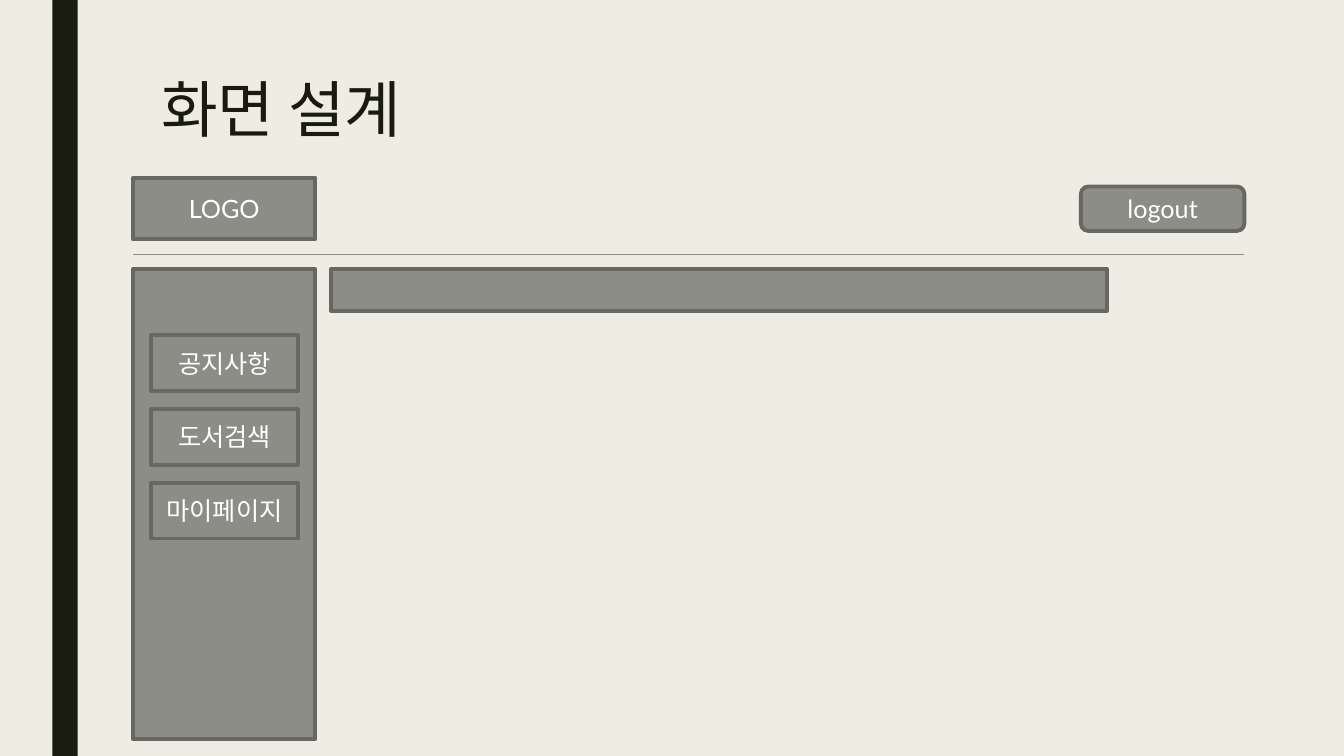
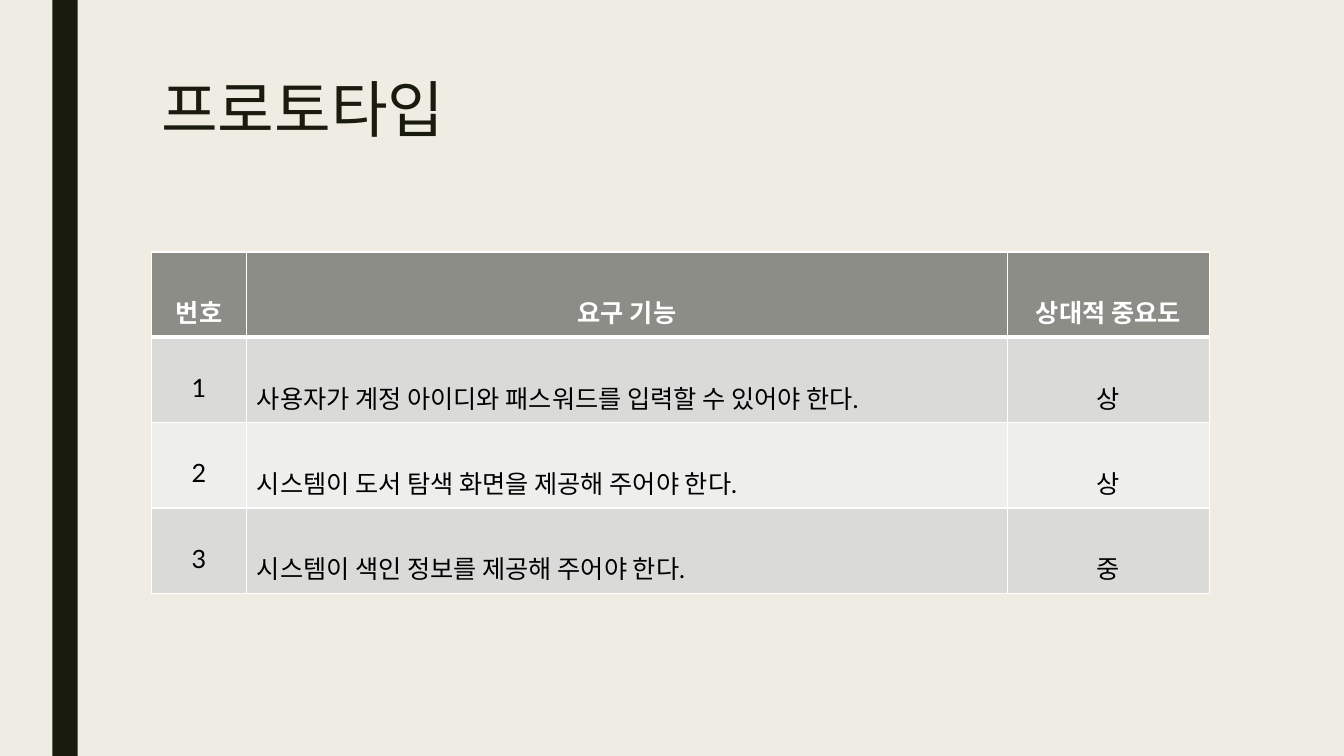
from pptx import Presentation
from pptx import util as u
from pptx.dml.color import RGBColor
from pptx.enum import shapes, text
from pptx.oxml import parse_xml
from pptx.oxml.ns import nsdecls

# Content
titles = ["화면 설계", "프로토타입"]
menu = ["공지사항", "도서검색", "마이페이지"]
rows = [
    ("번호", "요구 기능", "상대적 중요도"),
    ("1", "사용자가 계정 아이디와 패스워드를 입력할 수 있어야 한다.", "상"),
    ("2", "시스템이 도서 탐색 화면을 제공해 주어야 한다.", "상"),
    ("3", "시스템이 색인 정보를 제공해 주어야 한다.", "중"),
]

# Shared style
FONT = "Lato"
HUES = {"paper": "EFEDE3", "ink": "191B0E", "gray": "8C8D86", "edge": "686863",
        "white": "FFFFFF", "black": "000000", "odd": "DADBD9", "even": "EEEEED"}
BOX, ROUND = shapes.MSO_SHAPE.RECTANGLE, shapes.MSO_SHAPE.ROUNDED_RECTANGLE
MID = text.PP_ALIGN.CENTER
LEFT, TOP, WIDE = 3.81, 1.9, 26.67


def hue(name):
    return RGBColor.from_string(HUES[name])


def paint(fill, name):
    fill.solid()
    fill.fore_color.rgb = hue(name)


def style(para, size, name, bold=False, space=None, align=None):
    font = para.font
    font.name, font.size, font.bold = FONT, u.Pt(size), bold
    font.color.rgb = hue(name)
    para.line_spacing, para.alignment = space, align


def box(slide, x, y, w, h, label="", kind=BOX, fill="gray", edge="edge"):
    shape = slide.shapes.add_shape(kind, u.Cm(x), u.Cm(y), u.Cm(w), u.Cm(h))
    shape.shadow.inherit = False
    paint(shape.fill, fill)
    if edge:
        shape.line.color.rgb = hue(edge)
        shape.line.width = u.Pt(2.75)
    else:
        shape.line.fill.background()
    if label:
        frame = shape.text_frame
        frame.text = label
        frame.vertical_anchor = text.MSO_ANCHOR.MIDDLE
        style(frame.paragraphs[0], 18, "white", align=MID)


def rule(slide, x, y, end):
    line = slide.shapes.add_connector(
        shapes.MSO_CONNECTOR.STRAIGHT, u.Cm(x), u.Cm(y), u.Cm(end), u.Cm(y))
    line.line.color.rgb = hue("gray")
    line.line.width = u.Pt(0.5)
    line._element.spPr.append(parse_xml(f"<a:effectLst {nsdecls('a')}/>"))


def border(cell, head):
    props = cell._tc.get_or_add_tcPr()
    for side in "LRTB":
        width = u.Pt(3 if head and side == "B" else 1)
        props.append(parse_xml(
            f'<a:ln{side} {nsdecls("a")} w="{width}"><a:solidFill>'
            f'<a:srgbClr val="{HUES["white"]}"/></a:solidFill></a:ln{side}>'))


def page(title):
    slide = deck.slides.add_slide(deck.slide_layouts[6])
    paint(slide.background.fill, "paper")
    box(slide, 1.32, 0, 0.64, 19.05, fill="ink", edge=None)
    frame = slide.shapes.add_textbox(
        u.Cm(LEFT), u.Cm(TOP), u.Cm(WIDE), u.Cm(2.13)).text_frame
    frame.word_wrap = True
    frame.text = title
    style(frame.paragraphs[0], 44, "ink", space=0.89)
    return slide


deck = Presentation()
deck.slide_width, deck.slide_height = u.Cm(33.87), u.Cm(19.05)

# Screen layout: header, side menu, top bar
screen = page(titles[0])
side, span, body = 3.35, 4.6, 6.78
box(screen, side, 4.48, span, 1.55, "LOGO")
rule(screen, side, 6.42, 31.36)
box(screen, 27.24, 4.7, 4.12, 1.12, "logout", ROUND)
box(screen, side, body, span, 11.85)
for i, label in enumerate(menu):
    box(screen, LEFT, 8.45 + i * 1.86, 3.7, 1.4, label)
box(screen, 8.34, body, 19.56, 1.05)

# Requirements table
proto = page(titles[1])
cols, high = (2.41, 19.16, 5.1), 2.15
grid = proto.shapes.add_table(
    len(rows), len(cols), u.Cm(LEFT), u.Cm(6.35),
    u.Cm(WIDE), u.Cm(high * len(rows))).table
for col, width in zip(grid.columns, cols):
    col.width = u.Cm(width)
for r, row in enumerate(rows):
    head = r == 0
    grid.rows[r].height = u.Cm(high)
    for c, label in enumerate(row):
        cell = grid.cell(r, c)
        cell.text = label
        border(cell, head)
        paint(cell.fill, "gray" if head else "odd" if r % 2 else "even")
        style(cell.text_frame.paragraphs[0], 18, "white" if head else "black",
              head, 2.0, MID if head or c != 1 else text.PP_ALIGN.LEFT)

deck.save("out.pptx")
